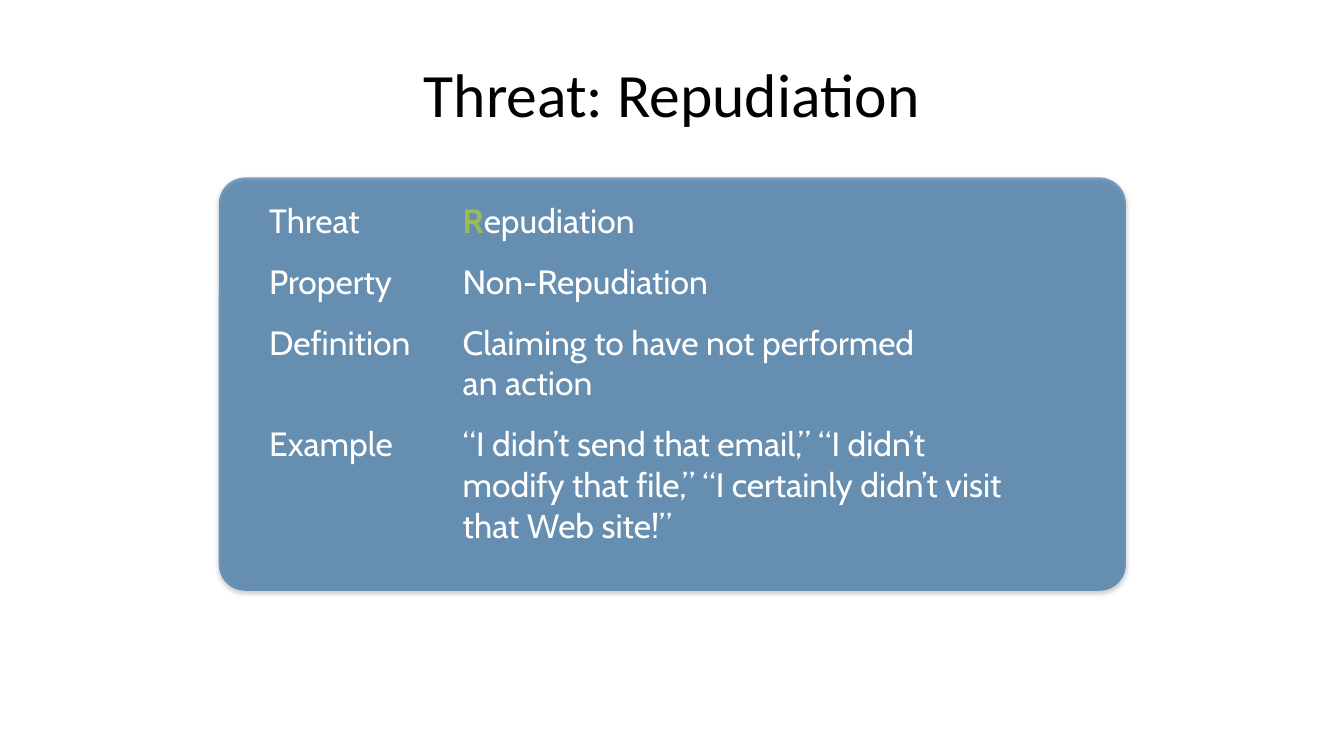
from dataclasses import dataclass
from typing import Any

from lxml import etree
from pptx import Presentation
from pptx import util as u
from pptx.dml.color import RGBColor
from pptx.enum import shapes, text
from pptx.oxml import parse_xml
from pptx.oxml.ns import qn

NAMESPACE = "http://schemas.openxmlformats.org/drawingml/2006/main"
NO_STYLE_NO_GRID = "{2D5ABB26-0587-4C30-8999-92F81FD0307C}"
SLIDE_WIDTH, SLIDE_HEIGHT = u.Inches(13.33), u.Inches(7.5)
BLUE, GREEN, WHITE, BLACK = "005194", "9BBB59", "FFFFFF", "000000"


@dataclass(frozen=True)
class Area:
    """A rectangle in percent of the slide's width and height."""
    left: float
    top: float
    width: float
    height: float


@dataclass(frozen=True)
class ThreatRow:
    label: str
    detail: str
    height: float
    initial: str = ""


TITLE_AREA = Area(5, 4, 90, 16.67)
PANEL_AREA = Area(16.28, 23.47, 67.5, 54.67)
TABLE_AREA = Area(19.28, 25.2, 56.19, 50.4)
COLUMN_WIDTHS = (14.4, 41.79)
ROWS = (
    ThreatRow("Threat", "epudiation", 5.6, initial="R"),
    ThreatRow("Property", "Non-Repudiation", 5.6),
    ThreatRow("Definition", "Claiming to have not performed\nan action", 10),
    ThreatRow("Example", "“I didn’t send that email,” “I didn’t modify that file,” "
              "“I certainly didn’t visit that Web site!”", 21.07),
)
TITLE_FONT = {"name": "Calibri", "size": u.Pt(44), "bold": False}
TABLE_FONT = {"name": "Cabin", "size": u.Pt(24), "bold": False}
CELL_FORMAT = {side: u.Inches(0.1) for side in
               ("margin_left", "margin_top", "margin_right", "margin_bottom")}


def across(percent: float) -> int:
    return round(SLIDE_WIDTH * percent / 100)


def down(percent: float) -> int:
    return round(SLIDE_HEIGHT * percent / 100)


def bounds(area: Area) -> tuple[int, int, int, int]:
    return across(area.left), down(area.top), across(area.width), down(area.height)


def apply(target: Any, values: dict[str, Any]) -> None:
    for name, value in values.items():
        setattr(target, name, value)


def paint(color_format: Any, color: str) -> None:
    color_format.rgb = RGBColor.from_string(color)


def add_text(paragraph: Any, content: str, font: dict[str, Any], color: str) -> None:
    for index, line in enumerate(content.split("\n")):
        if index:
            paragraph.add_line_break()
        run = paragraph.add_run()
        run.text = line
        apply(run.font, font)
        paint(run.font.color, color)


def add_title(slide: Any) -> None:
    title = slide.shapes.title
    apply(title, dict(zip(("left", "top", "width", "height"), bounds(TITLE_AREA))))
    title.text_frame.vertical_anchor = text.MSO_ANCHOR.MIDDLE
    paragraph = title.text_frame.paragraphs[0]
    paragraph.alignment = text.PP_ALIGN.CENTER
    add_text(paragraph, "Threat: Repudiation", TITLE_FONT, BLACK)


def add_panel(slide: Any) -> None:
    panel = slide.shapes.add_shape(
        shapes.MSO_SHAPE.ROUNDED_RECTANGLE, *bounds(PANEL_AREA))
    panel.adjustments[0] = 0.064
    panel.line.fill.background()
    panel.fill.solid()
    paint(panel.fill.fore_color, BLUE)

    # Half-transparent fill and a soft shadow below
    properties = panel.element.spPr
    fill_color = properties.find(qn("a:solidFill")).find(qn("a:srgbClr"))
    etree.SubElement(fill_color, qn("a:alpha"), val="50000")
    properties.append(parse_xml(
        f'<a:effectLst xmlns:a="{NAMESPACE}">'
        f'<a:outerShdw blurRad="{u.Pt(3.1)}" dist="{u.Pt(1.6)}" dir="5400000" '
        f'rotWithShape="0"><a:srgbClr val="{BLACK}"><a:alpha val="38000"/>'
        '</a:srgbClr></a:outerShdw></a:effectLst>'))


def add_threat_table(slide: Any) -> None:
    frame = slide.shapes.add_table(len(ROWS), len(COLUMN_WIDTHS), *bounds(TABLE_AREA))
    table = frame.table
    apply(table, {"first_row": False, "horz_banding": False})
    next(frame.element.iter(qn("a:tableStyleId"))).text = NO_STYLE_NO_GRID

    for column, width in zip(table.columns, COLUMN_WIDTHS):
        column.width = across(width)
    for table_row, row in zip(table.rows, ROWS):
        table_row.height = down(row.height)
        for cell in table_row.cells:
            apply(cell, CELL_FORMAT)
            cell.fill.background()
        label, detail = (cell.text_frame.paragraphs[0] for cell in table_row.cells)
        add_text(label, row.label, TABLE_FONT, WHITE)
        if row.initial:
            add_text(detail, row.initial, TABLE_FONT | {"bold": True}, GREEN)
        add_text(detail, row.detail, TABLE_FONT, WHITE)
    frame.height = down(TABLE_AREA.height)


def main() -> None:
    presentation = Presentation()
    apply(presentation, {"slide_width": SLIDE_WIDTH, "slide_height": SLIDE_HEIGHT})
    slide = presentation.slides.add_slide(presentation.slide_layouts[5])
    add_title(slide)
    add_panel(slide)
    add_threat_table(slide)
    presentation.save("out.pptx")


if __name__ == "__main__":
    main()
